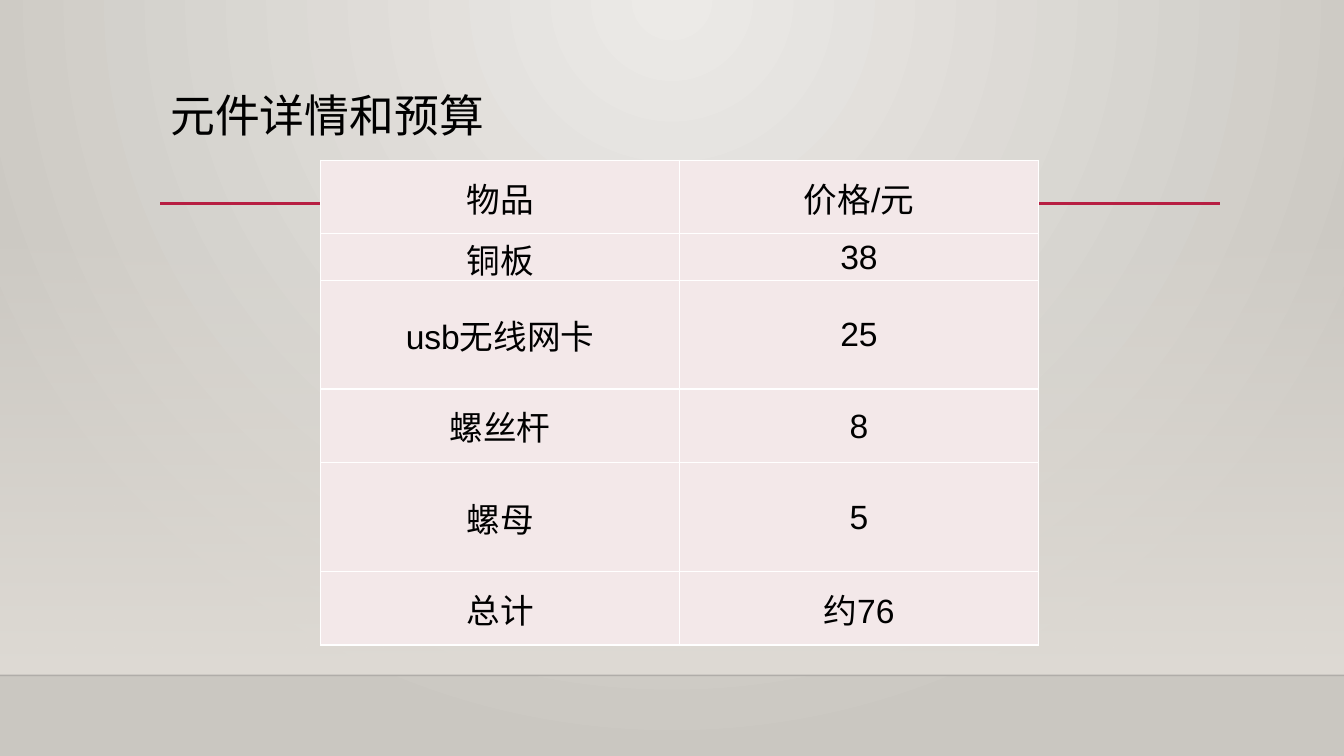
from pptx import Presentation
from pptx.dml.color import RGBColor
from pptx.enum.shapes import MSO_CONNECTOR, MSO_SHAPE
from pptx.enum.text import MSO_ANCHOR, PP_ALIGN
from pptx.oxml import parse_xml
from pptx.oxml.ns import nsdecls, qn
from pptx.util import Inches, Pt

SLIDE_WIDTH = 13.33
ROWS = [
    ("物品", "价格/元", 0.73),
    ("铜板", "38", 0.46),
    ("usb无线网卡", "25", 1.08),
    ("螺丝杆", "8", 0.73),
    ("螺母", "5", 1.08),
    ("总计", "约76", 0.73),
]
RADIAL = '<a:path path="circle"><a:fillToRect l="43000" r="43000" b="100000"/></a:path>'
DOWNWARD = '<a:lin ang="5400000" scaled="0"/>'


def color(value):
    return RGBColor.from_string(value)


def style(paragraph, font, size):
    paragraph.font.name = font
    paragraph.font.size = Pt(size)
    paragraph.font.color.rgb = color("000000")


def set_gradient(fill, owner, stops, direction):
    """Stops are (position, colour, opacity), all but the colour in percent."""
    fill.gradient()
    old = next(owner.iter(qn("a:gradFill")))
    marks = "".join(
        f'<a:gs pos="{position * 1000}"><a:srgbClr val="{value}">'
        f'<a:alpha val="{opacity * 1000}"/></a:srgbClr></a:gs>'
        for position, value, opacity in stops
    )
    old.getparent().replace(old, parse_xml(
        f'<a:gradFill {nsdecls("a")} rotWithShape="1">'
        f"<a:gsLst>{marks}</a:gsLst>{direction}</a:gradFill>"
    ))


def add_glow(page, left, top, width, height):
    box = page.shapes.add_shape(
        MSO_SHAPE.RECTANGLE, Inches(left), Inches(top), Inches(width), Inches(height)
    )
    box.shadow.inherit = False
    box.line.fill.background()
    stops = [(0, "DFDBD5", 0), (100, "DFDBD5", 100)]
    set_gradient(box.fill, box.element, stops, DOWNWARD)


def add_rule(page, left, right, top, value, width, opacity=100):
    rule = page.shapes.add_connector(
        MSO_CONNECTOR.STRAIGHT, Inches(left), Inches(top), Inches(right), Inches(top)
    )
    rule.line.color.rgb = color(value)
    rule.line.width = Pt(width)
    properties = rule.element.spPr
    if opacity < 100:
        tint = next(properties.iter(qn("a:srgbClr")))
        tint.append(parse_xml(f'<a:alpha {nsdecls("a")} val="{opacity * 1000}"/>'))
    properties.append(parse_xml(f'<a:effectLst {nsdecls("a")}/>'))


def add_title(page, text):
    box = page.shapes.add_textbox(Inches(1.59), Inches(0.88), Inches(10.5), Inches(1.15))
    box.text_frame.word_wrap = True
    paragraph = box.text_frame.paragraphs[0]
    paragraph.text = text
    paragraph.line_spacing = 0.9
    style(paragraph, "Calibri", 32)


def add_borders(cell):
    properties = cell._tc.get_or_add_tcPr()
    for position, side in enumerate(("lnL", "lnR", "lnT", "lnB")):
        properties.insert(position, parse_xml(
            f'<a:{side} {nsdecls("a")} w="{Pt(1)}"><a:solidFill>'
            f'<a:srgbClr val="FFFFFF"/></a:solidFill></a:{side}>'
        ))


def fill_cell(cell, text):
    cell.fill.solid()
    cell.fill.fore_color.rgb = color("F3E8E9")
    cell.margin_left = cell.margin_right = cell.margin_top = Inches(0.01)
    cell.margin_bottom = 0
    cell.vertical_anchor = MSO_ANCHOR.MIDDLE
    paragraph = cell.text_frame.paragraphs[0]
    paragraph.text = text
    paragraph.alignment = PP_ALIGN.CENTER
    style(paragraph, "Arial", 24)
    add_borders(cell)


def add_budget(page):
    height = sum(row[-1] for row in ROWS)
    table = page.shapes.add_table(
        len(ROWS), 2, Inches(3.18), Inches(1.59), Inches(7.12), Inches(height)
    ).table
    table.first_row = table.horz_banding = False
    for index, (item, price, row_height) in enumerate(ROWS):
        table.rows[index].height = Inches(row_height)
        fill_cell(table.cell(index, 0), item)
        fill_cell(table.cell(index, 1), price)


def main():
    deck = Presentation()
    deck.slide_width, deck.slide_height = Inches(SLIDE_WIDTH), Inches(7.5)
    page = deck.slides.add_slide(deck.slide_layouts[6])

    # Backdrop with its floor line
    stops = [(0, "ECEAE7", 100), (100, "CAC7C1", 100)]
    set_gradient(page.background.fill, page.element, stops, RADIAL)
    add_glow(page, 0, 2.21, SLIDE_WIDTH, 4.49)
    add_rule(page, 0, SLIDE_WIDTH, 6.7, "000001", 1, opacity=20)

    # Heading and its rule
    add_rule(page, 1.59, 12.1, 2.02, "B71E42", 2.5)
    add_title(page, "元件详情和预算")

    # Parts and prices
    add_budget(page)
    deck.save("out.pptx")


if __name__ == "__main__":
    main()
